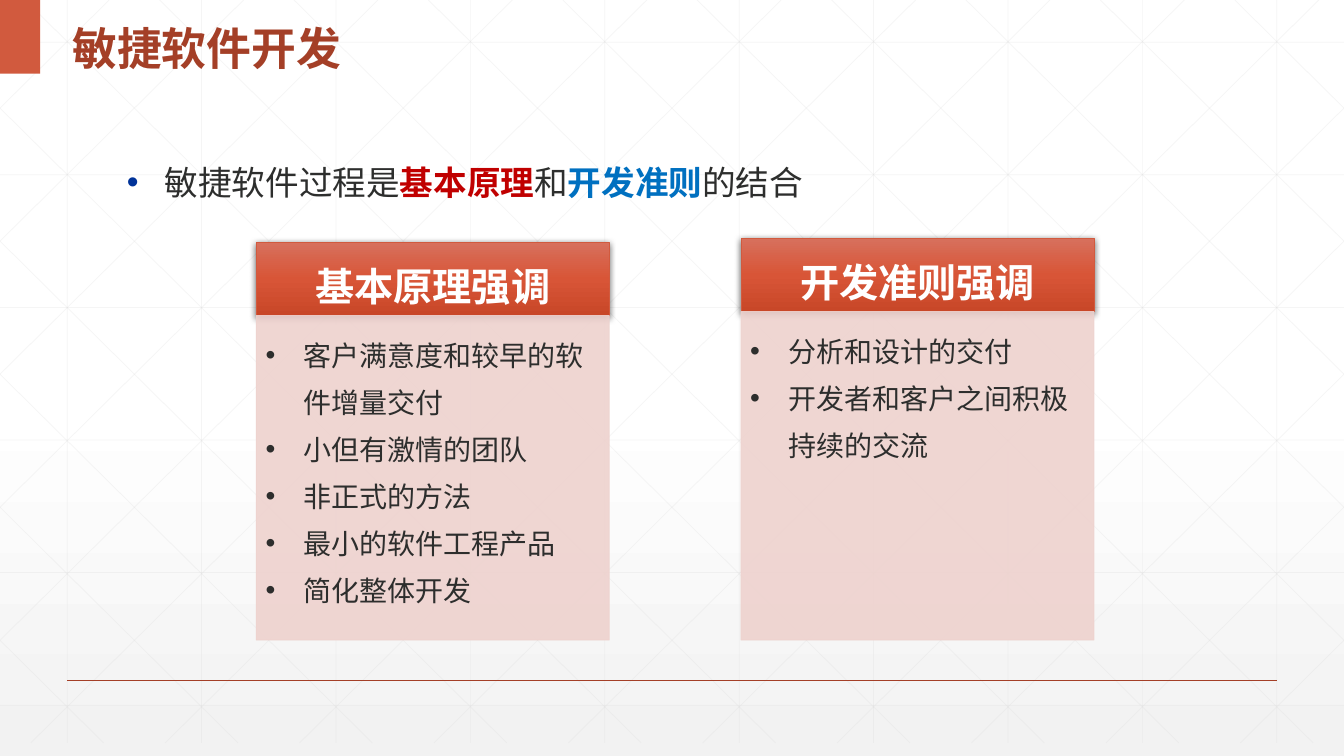
from pptx import Presentation
from pptx.dml.color import RGBColor
from pptx.enum.shapes import MSO_CONNECTOR, MSO_SHAPE
from pptx.enum.text import MSO_ANCHOR, PP_ALIGN
from pptx.oxml.ns import qn
from pptx.util import Pt
from lxml.etree import SubElement

WIDTH, HEIGHT = 960, 540
FONT = "Noto Sans CJK SC"
COLORS = {
    "text": "2D2E2D", "title": "A43F27", "accent": "D15A3E", "white": "FFFFFF",
    "grid": "D9D9D9", "panel": "EED2CE", "bullet": "003399", "shadow": "000000",
    "principle": "C00000", "guideline": "0070C0", "smoke": "F2F2F2",
    "header_top": "D7705D", "header_mid": "D85537", "header_end": "C84728",
}
PAGE_STOPS = [(0, "white", 100), (53, "white", 100), (100, "smoke", 65)]
HEADER_STOPS = [(0, "header_top", 100), (50, "header_mid", 100), (100, "header_end", 100)]
INTRO = [("敏捷软件过程是", None), ("基本原理", "principle"), ("和", None),
         ("开发准则", "guideline"), ("的结合", None)]
CARDS = [
    (183, 172.8, "基本原理强调",
     ["客户满意度和较早的软件增量交付", "小但有激情的团队", "非正式的方法",
      "最小的软件工程产品", "简化整体开发"]),
    (529.2, 170, "开发准则强调",
     ["分析和设计的交付", "开发者和客户之间积极持续的交流"]),
]
CARD_WIDTH, CARD_BOTTOM, HEADER_HEIGHT = 252.2, 457.2, 52.6


def rgb(name):
    return RGBColor.from_string(COLORS[name])


def add_color(parent, name, opacity=100):
    color = SubElement(parent, qn("a:srgbClr"), val=COLORS[name])
    if opacity < 100:
        SubElement(color, qn("a:alpha"), val=str(opacity * 1000))


def set_opacity(element, opacity):
    for color in element.find(qn("p:spPr")).iter(qn("a:srgbClr")):
        SubElement(color, qn("a:alpha"), val=str(opacity * 1000))


def fill_gradient(fill, owner, stops):
    """Fill from top to bottom; owner is the XML element that holds the fill."""
    fill.gradient()
    fill.gradient_angle = 270
    stop_list = next(owner.iter(qn("a:gsLst")))
    for old_stop in list(stop_list):
        stop_list.remove(old_stop)
    for position, name, opacity in stops:
        stop = SubElement(stop_list, qn("a:gs"), pos=str(position * 1000))
        add_color(stop, name, opacity)


def set_font(para, size, color, bold=False, latin=FONT):
    font = para.font
    font.size, font.bold, font.name = Pt(size), bold, latin
    font.color.rgb = rgb(color)
    defaults = para._p.pPr.find(qn("a:defRPr"))
    east_asian = SubElement(defaults, qn("a:ea"), typeface=FONT)
    defaults.find(qn("a:latin")).addnext(east_asian)


def set_bullet(para, indent, color=None):
    props = para._p.get_or_add_pPr()
    props.set("marL", str(Pt(indent)))
    props.set("indent", str(-Pt(indent)))
    if color:
        add_color(SubElement(props, qn("a:buClr")), color)
    SubElement(props, qn("a:buFont"), typeface="Arial")
    SubElement(props, qn("a:buChar"), char="•")


def set_frame(frame, margins, anchor=MSO_ANCHOR.TOP):
    frame.word_wrap = True
    frame.vertical_anchor = anchor
    (frame.margin_left, frame.margin_top,
     frame.margin_right, frame.margin_bottom) = [Pt(margin) for margin in margins]


def add_text_box(page, left, top, width, height):
    box = page.shapes.add_textbox(Pt(left), Pt(top), Pt(width), Pt(height))
    set_frame(box.text_frame, (7.2, 3.6, 7.2, 3.6))
    return box.text_frame.paragraphs[0]


def add_rectangle(page, left, top, width, height, color):
    box = page.shapes.add_shape(MSO_SHAPE.RECTANGLE, Pt(left), Pt(top), Pt(width), Pt(height))
    box.shadow.inherit = False
    box.fill.solid()
    box.fill.fore_color.rgb = rgb(color)
    box.line.color.rgb = rgb(color)
    box.line.width = Pt(0.5)
    return box


def add_line(page, x1, y1, x2, y2, color, width):
    line = page.shapes.add_connector(MSO_CONNECTOR.STRAIGHT, Pt(x1), Pt(y1), Pt(x2), Pt(y2))
    line.line.color.rgb = rgb(color)
    line.line.width = Pt(width)
    SubElement(line.element.spPr, qn("a:effectLst"))
    return line


def add_grid(page, width, height):
    """Faint upright, level and crossing diagonal lines, clipped to the area."""
    step, slope = 96, 0.99
    ends = [(48 + step * i, 0, 48 + step * i, height) for i in range(10)]
    ends += [(0, 30.2 + 94.7 * i, width, 30.2 + 94.7 * i) for i in range(6)]
    for i in range(-5, 10):
        start = 18 + step * i
        x1, x2 = max(start, 0), min(start + height / slope, width)
        y1, y2 = (x1 - start) * slope, (x2 - start) * slope
        ends += [(x1, y1, x2, y2), (width - x1, y1, width - x2, y2)]
    for points in ends:
        set_opacity(add_line(page, *points, "grid", 0.5).element, 25)


def add_title(page, left, top, width, height, text):
    tab = add_rectangle(page, 0, top, 28.8, height, "accent")
    tab.line.fill.background()
    para = add_text_box(page, left, top, width, height)
    para.text = text
    para.line_spacing = 1.3
    set_font(para, 32, "title", bold=True)


def add_intro(page, left, top, width, height, spans):
    para = add_text_box(page, left, top, width, height)
    para.line_spacing = 1.4
    set_bullet(para, 27, "bullet")
    set_font(para, 24, "text")
    for text, color in spans:
        span = para.add_run()
        span.text = text
        if color:
            span.font.bold = True
            span.font.color.rgb = rgb(color)


def add_card_header(page, left, top, width, height, text):
    header = add_rectangle(page, left, top, width, height, "accent")
    fill_gradient(header.fill, header.element, HEADER_STOPS)
    effects = header.element.spPr.find(qn("a:effectLst"))
    shadow = SubElement(effects, qn("a:outerShdw"), blurRad=str(Pt(4.5)), dist=str(Pt(1.5)),
                        dir="5400000", rotWithShape="0")
    add_color(shadow, "shadow", 63)
    set_frame(header.text_frame, (13.7, 7.9, 13.7, 7.9), MSO_ANCHOR.MIDDLE)
    para = header.text_frame.paragraphs[0]
    para.text = text
    para.alignment = PP_ALIGN.CENTER
    para.line_spacing = 1.3
    set_font(para, 28, "white", bold=True, latin="Arial")


def add_card(page, left, top, width, height, heading, items):
    add_card_header(page, left, top, width, HEADER_HEIGHT, heading)
    panel = add_rectangle(page, left, top + HEADER_HEIGHT, width, height - HEADER_HEIGHT, "panel")
    set_opacity(panel.element, 90)
    frame = panel.text_frame
    set_frame(frame, (6.7, 6.7, 8.9, 10))
    for i, item in enumerate(items):
        para = frame.add_paragraph() if i else frame.paragraphs[0]
        para.text = item
        para.alignment = PP_ALIGN.LEFT
        para.line_spacing = 1.4
        set_bullet(para, 27)
        set_font(para, 20, "text")


def main():
    deck = Presentation()
    deck.slide_width, deck.slide_height = Pt(WIDTH), Pt(HEIGHT)
    page = deck.slides.add_slide(deck.slide_layouts[6])
    fill_gradient(page.background.fill, page.element, PAGE_STOPS)
    add_grid(page, WIDTH, 530.6)
    add_line(page, 48, 486, 912, 486, "title", 1)
    add_title(page, 44.6, 0, 545, 52.6, "敏捷软件开发")
    add_intro(page, 83.5, 100.8, 759.6, 46.8, INTRO)
    for left, top, heading, items in CARDS:
        add_card(page, left, top, CARD_WIDTH, CARD_BOTTOM - top, heading, items)
    deck.save("out.pptx")


if __name__ == "__main__":
    main()
